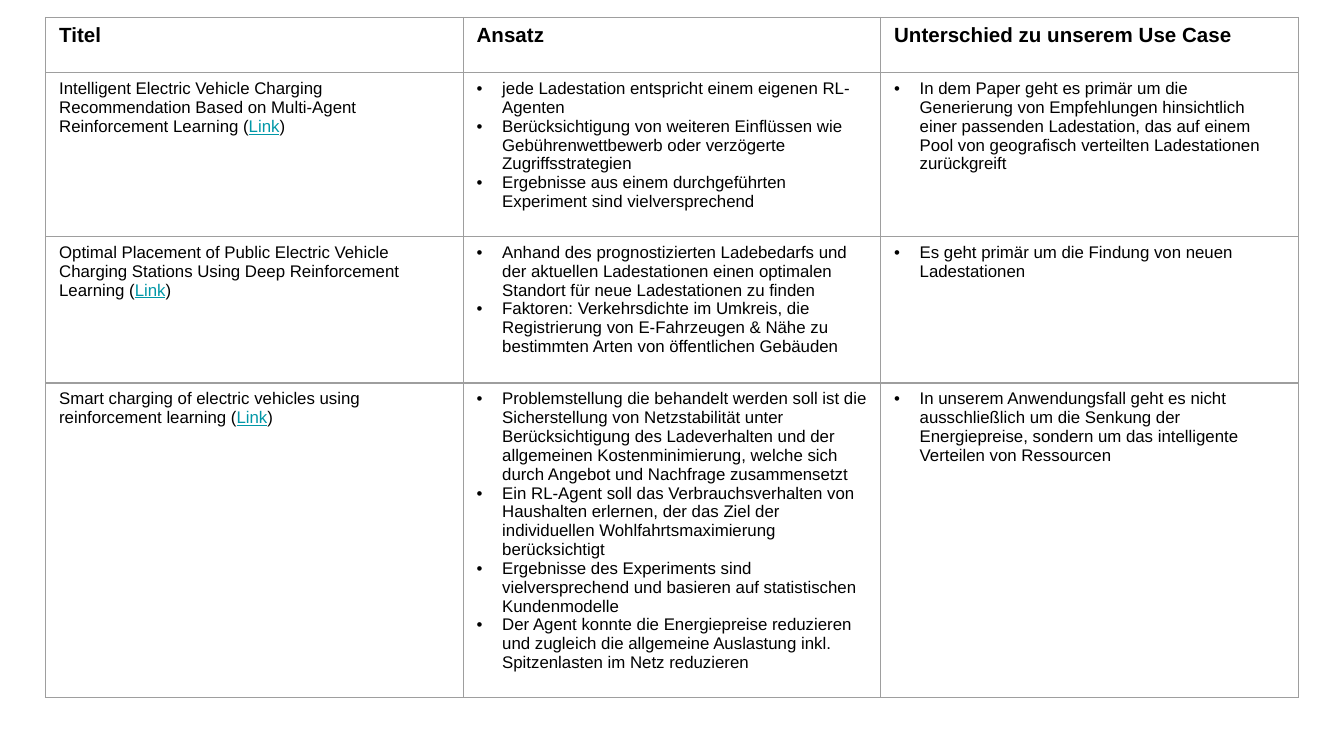
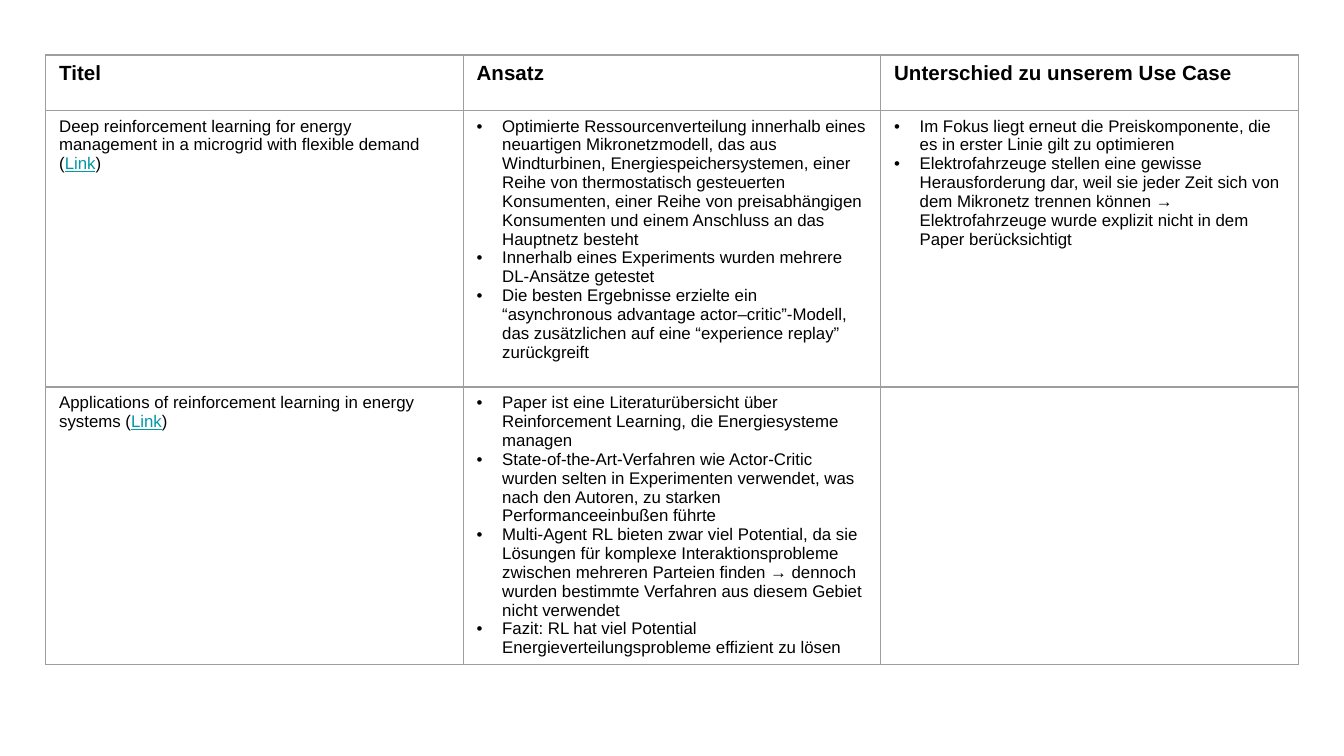
from dataclasses import dataclass

import pptx
import pptx.dml.color
import pptx.oxml
import pptx.oxml.ns
import pptx.util

Inches = pptx.util.Inches
Pt = pptx.util.Pt

# Shared look
SLIDE_WIDTH = Inches(10)
SLIDE_HEIGHT = SLIDE_WIDTH * 9 // 16
FONT = "Arial"
BLACK = "000000"
LINK_COLOR = "0097A7"
BORDER_COLOR = "9E9E9E"
BORDER_WIDTH = Pt(0.75)
HEADER_SIZE = 11
BODY_SIZE = 9
HEADINGS = ("Titel", "Ansatz", "Unterschied zu unserem Use Case")
TABLE_LEFT = Inches(0.34)
COLUMN_WIDTH = Inches(9.32) // len(HEADINGS)
HEADER_HEIGHT = 0.41
BULLET_INDENT = Inches(0.19)


@dataclass(frozen=True)
class Paper:
    title: str
    approach: tuple[str, ...]
    difference: tuple[str, ...]
    height: float


@dataclass(frozen=True)
class Overview:
    top: float
    papers: tuple[Paper, ...]


OVERVIEWS = (
    Overview(0.13, (
        Paper(
            "Intelligent Electric Vehicle Charging Recommendation Based on Multi-Agent Reinforcement Learning",
            (
                "jede Ladestation entspricht einem eigenen RL-Agenten",
                "Berücksichtigung von weiteren Einflüssen wie Gebührenwettbewerb oder verzögerte "
                "Zugriffsstrategien",
                "Ergebnisse aus einem durchgeführten Experiment sind vielversprechend",
            ),
            (
                "In dem Paper geht es primär um die Generierung von Empfehlungen hinsichtlich einer "
                "passenden Ladestation, das auf einem Pool von geografisch verteilten Ladestationen "
                "zurückgreift",
            ),
            1.22,
        ),
        Paper(
            "Optimal Placement of Public Electric Vehicle Charging Stations Using Deep Reinforcement Learning",
            (
                "Anhand des prognostizierten Ladebedarfs und der aktuellen Ladestationen einen optimalen "
                "Standort für neue Ladestationen zu finden",
                "Faktoren: Verkehrsdichte im Umkreis, die Registrierung von E-Fahrzeugen & Nähe zu "
                "bestimmten Arten von öffentlichen Gebäuden",
            ),
            ("Es geht primär um die Findung von neuen Ladestationen",),
            1.09,
        ),
        Paper(
            "Smart charging of electric vehicles using reinforcement learning",
            (
                "Problemstellung die behandelt werden soll ist die Sicherstellung von Netzstabilität unter "
                "Berücksichtigung des Ladeverhalten und der allgemeinen Kostenminimierung, welche sich "
                "durch Angebot und Nachfrage zusammensetzt",
                "Ein RL-Agent soll das Verbrauchsverhalten von Haushalten erlernen, der das Ziel der "
                "individuellen Wohlfahrtsmaximierung berücksichtigt",
                "Ergebnisse des Experiments sind vielversprechend und basieren auf statistischen "
                "Kundenmodelle",
                "Der Agent konnte die Energiepreise reduzieren und zugleich die allgemeine Auslastung "
                "inkl. Spitzenlasten im Netz reduzieren",
            ),
            (
                "In unserem Anwendungsfall geht es nicht ausschließlich um die Senkung der Energiepreise, "
                "sondern um das intelligente Verteilen von Ressourcen",
            ),
            2.34,
        ),
    )),
    Overview(0.41, (
        Paper(
            "Deep reinforcement learning for energy management in a microgrid with flexible demand",
            (
                "Optimierte Ressourcenverteilung innerhalb eines neuartigen Mikronetzmodell, das aus "
                "Windturbinen, Energiespeichersystemen, einer Reihe von thermostatisch gesteuerten "
                "Konsumenten, einer Reihe von preisabhängigen Konsumenten und einem Anschluss an das "
                "Hauptnetz besteht",
                "Innerhalb eines Experiments wurden mehrere DL-Ansätze getestet",
                "Die besten Ergebnisse erzielte ein “asynchronous advantage actor–critic”-Modell, das "
                "zusätzlichen auf eine “experience replay” zurückgreift",
            ),
            (
                "Im Fokus liegt erneut die Preiskomponente, die es in erster Linie gilt zu optimieren",
                "Elektrofahrzeuge stellen eine gewisse Herausforderung dar, weil sie jeder Zeit sich von "
                "dem Mikronetz trennen können → Elektrofahrzeuge wurde explizit nicht in dem Paper "
                "berücksichtigt",
            ),
            2.06,
        ),
        Paper(
            "Applications of reinforcement learning in energy systems",
            (
                "Paper ist eine Literaturübersicht über Reinforcement Learning, die Energiesysteme managen",
                "State-of-the-Art-Verfahren wie Actor-Critic wurden selten in Experimenten verwendet, was "
                "nach den Autoren, zu starken Performanceeinbußen führte",
                "Multi-Agent RL bieten zwar viel Potential, da sie Lösungen für komplexe "
                "Interaktionsprobleme zwischen mehreren Parteien finden → dennoch wurden bestimmte "
                "Verfahren aus diesem Gebiet nicht verwendet",
                "Fazit: RL hat viel Potential Energieverteilungsprobleme effizient zu lösen",
            ),
            (),
            2.06,
        ),
    )),
)


def rgb(color: str) -> pptx.dml.color.RGBColor:
    return pptx.dml.color.RGBColor.from_string(color)


def add_xml(parent, xml: str) -> None:
    """Append a drawing element, given without its namespace declaration."""
    tag, rest = xml.split(" ", 1)
    namespace = pptx.oxml.ns.nsdecls("a")
    parent.append(pptx.oxml.parse_xml(f"{tag} {namespace} {rest}"))


def set_font(paragraph, size: float, bold: bool = False) -> None:
    font = paragraph.font
    font.name = FONT
    font.size = Pt(size)
    font.bold = bold
    font.color.rgb = rgb(BLACK)


def frame_cell(cell) -> None:
    properties = cell._tc.get_or_add_tcPr()
    for side in ("lnL", "lnR", "lnT", "lnB"):
        add_xml(properties, f'<a:{side} w="{BORDER_WIDTH}"><a:solidFill>'
                            f'<a:srgbClr val="{BORDER_COLOR}"/></a:solidFill></a:{side}>')
    cell.fill.background()


def write_heading(cell, heading: str) -> None:
    paragraph = cell.text_frame.paragraphs[0]
    paragraph.text = heading
    set_font(paragraph, HEADER_SIZE, bold=True)


def write_title(cell, title: str) -> None:
    paragraph = cell.text_frame.paragraphs[0]
    paragraph.add_run().text = f"{title} ("
    link = paragraph.add_run()
    link.text = "Link"
    link.font.underline = True
    link.font.color.rgb = rgb(LINK_COLOR)
    paragraph.add_run().text = ")"
    set_font(paragraph, BODY_SIZE)


def write_bullets(cell, points: tuple[str, ...]) -> None:
    frame = cell.text_frame
    for index, point in enumerate(points):
        paragraph = frame.add_paragraph() if index else frame.paragraphs[0]
        paragraph.text = point
        properties = paragraph._p.get_or_add_pPr()
        properties.set("marL", str(BULLET_INDENT))
        properties.set("indent", str(-BULLET_INDENT))
        add_xml(properties, f'<a:buClr ><a:srgbClr val="{BLACK}"/></a:buClr>')
        add_xml(properties, f'<a:buFont typeface="{FONT}"/>')
        add_xml(properties, '<a:buChar char="•"/>')
        set_font(paragraph, BODY_SIZE)


def add_overview(slide, overview: Overview) -> None:
    heights = [HEADER_HEIGHT] + [paper.height for paper in overview.papers]
    table = slide.shapes.add_table(
        len(heights), len(HEADINGS), TABLE_LEFT, Inches(overview.top),
        COLUMN_WIDTH * len(HEADINGS), Inches(sum(heights)),
    ).table
    table.first_row = False
    table.horz_banding = False
    for row, height in zip(table.rows, heights):
        row.height = Inches(height)
    for cell in table.iter_cells():
        frame_cell(cell)

    # Header row, then one row per paper
    for column, heading in enumerate(HEADINGS):
        write_heading(table.cell(0, column), heading)
    for row, paper in enumerate(overview.papers, start=1):
        write_title(table.cell(row, 0), paper.title)
        write_bullets(table.cell(row, 1), paper.approach)
        write_bullets(table.cell(row, 2), paper.difference)


def main() -> None:
    deck = pptx.Presentation()
    deck.slide_width = SLIDE_WIDTH
    deck.slide_height = SLIDE_HEIGHT
    blank = deck.slide_layouts[6]
    for overview in OVERVIEWS:
        add_overview(deck.slides.add_slide(blank), overview)
    deck.save("out.pptx")


if __name__ == "__main__":
    main()
